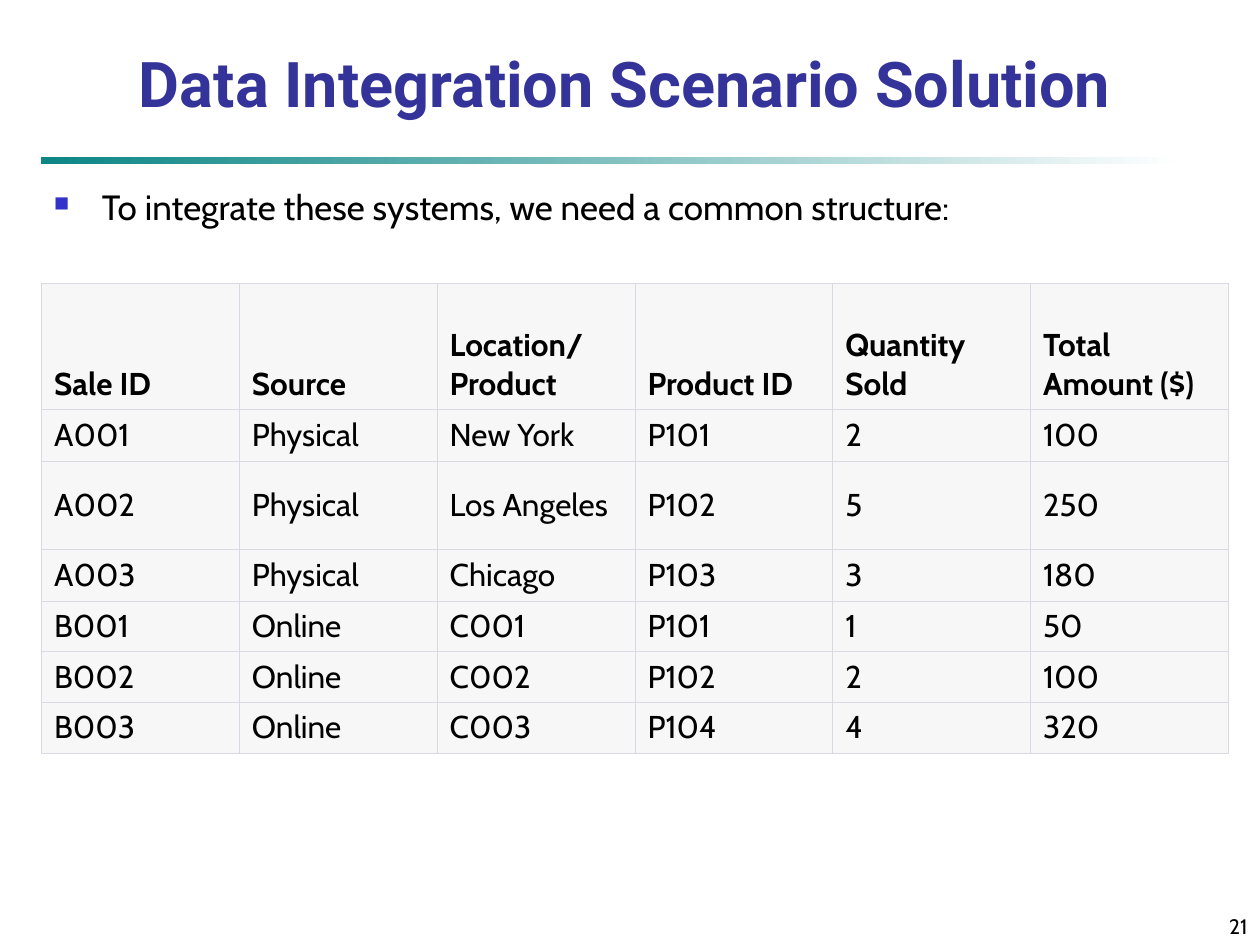
from lxml.etree import SubElement
from pptx import Presentation
from pptx.dml.color import RGBColor
from pptx.enum.shapes import MSO_SHAPE
from pptx.enum.text import MSO_ANCHOR, PP_ALIGN
from pptx.oxml import parse_xml
from pptx.oxml.ns import nsdecls, qn
from pptx.util import Inches, Pt

HEADINGS = ["Sale ID", "Source", "Location/Product", "Product ID",
            "Quantity Sold", "Total Amount ($)"]
SALES = [
    ["A001", "Physical", "New York", "P101", "2", "100"],
    ["A002", "Physical", "Los Angeles", "P102", "5", "250"],
    ["A003", "Physical", "Chicago", "P103", "3", "180"],
    ["B001", "Online", "C001", "P101", "1", "50"],
    ["B002", "Online", "C002", "P102", "2", "100"],
    ["B003", "Online", "C003", "P104", "4", "320"],
]
ROW_HEIGHTS = [1, 0.41, 0.7, 0.41, 0.4, 0.4, 0.41]


def color(hex_value):
    return RGBColor.from_string(hex_value)


class SlideBuilder:
    title_font, body_font = "Roboto", "Cabin"
    title_color, text_color, bullet_color = "333399", "000000", "3333CC"
    cell_color, border_color = "F7F7F8", "D9D9E3"
    rule_start, rule_end = "008080", "FFFFFF"

    def __init__(self, slide):
        self.slide = slide

    def fill_text(self, frame, text, size, anchor, align=PP_ALIGN.LEFT,
                  font=body_font, hue=text_color, bold=False):
        frame.word_wrap = True
        frame.vertical_anchor = anchor
        paragraph = frame.paragraphs[0]
        paragraph.text = text
        paragraph.alignment = align
        paragraph.font.name = font
        paragraph.font.size = Pt(size)
        paragraph.font.bold = bold
        paragraph.font.color.rgb = color(hue)
        return paragraph

    def title(self, text, left, top, width, height):
        heading = self.slide.shapes.title
        heading.left, heading.top = Inches(left), Inches(top)
        heading.width, heading.height = Inches(width), Inches(height)
        self.fill_text(heading.text_frame, text, 36, MSO_ANCHOR.BOTTOM,
                       PP_ALIGN.CENTER, self.title_font, self.title_color, True)

    def rule(self, left, top, width, height):
        rule = self.slide.shapes.add_shape(
            MSO_SHAPE.RECTANGLE, Inches(left), Inches(top), Inches(width), Inches(height))
        rule.shadow.inherit = False
        rule.line.fill.background()
        rule.fill.gradient()
        rule.fill.gradient_angle = 0
        start, end = rule.fill.gradient_stops
        start.color.rgb, end.color.rgb = color(self.rule_start), color(self.rule_end)
        start_color = next(rule._element.spPr.iter(qn("a:srgbClr")))
        SubElement(start_color, qn("a:alpha"), val="95000")

    def text(self, text, left, top, width, height, size, anchor, align=PP_ALIGN.LEFT):
        box = self.slide.shapes.add_textbox(
            Inches(left), Inches(top), Inches(width), Inches(height))
        return self.fill_text(box.text_frame, text, size, anchor, align)

    def bullet(self, text, left, top, width, height):
        paragraph = self.text(text, left, top, width, height, 20, MSO_ANCHOR.TOP)
        paragraph.space_before = Pt(5)
        properties = paragraph._p.get_or_add_pPr()
        properties.set("marL", str(Inches(0.38)))
        properties.set("indent", str(-Inches(0.38)))
        bullet_color = parse_xml(
            f'<a:buClr {nsdecls("a")}><a:srgbClr val="{self.bullet_color}"/></a:buClr>')
        properties.find(qn("a:spcBef")).addnext(bullet_color)
        bullet_size = parse_xml(f'<a:buSzPct {nsdecls("a")} val="60000"/>')
        bullet_color.addnext(bullet_size)
        bullet_size.addnext(parse_xml(f'<a:buChar {nsdecls("a")} char="■"/>'))

    def borders(self, cell, top, bottom):
        properties = cell._tc.get_or_add_tcPr()
        widths = {"lnL": 0.34, "lnR": 0.34, "lnT": top, "lnB": bottom}
        for position, (side, width) in enumerate(widths.items()):
            properties.insert(position, parse_xml(
                f'<a:{side} {nsdecls("a")} w="{Pt(width)}"><a:solidFill>'
                f'<a:srgbClr val="{self.border_color}"/></a:solidFill></a:{side}>'))

    def table(self, rows, row_heights, left, top, width):
        grid = self.slide.shapes.add_table(
            len(rows), len(rows[0]), Inches(left), Inches(top),
            Inches(width), Inches(sum(row_heights))).table
        grid.horz_banding = False
        last = len(rows) - 1
        for index, (values, height) in enumerate(zip(rows, row_heights)):
            grid.rows[index].height = Inches(height)
            header = index == 0
            anchor = MSO_ANCHOR.BOTTOM if header else MSO_ANCHOR.MIDDLE
            for cell, value in zip(grid.rows[index].cells, values):
                self.fill_text(cell.text_frame, value, 18, anchor, bold=header)
                cell.vertical_anchor = anchor
                cell.fill.solid()
                cell.fill.fore_color.rgb = color(self.cell_color)
                self.borders(cell, 0.34 if header else 0.45,
                             0.34 if index == last else 0.45)


def main():
    presentation = Presentation()
    presentation.slide_width, presentation.slide_height = Inches(10), Inches(7.5)
    title_only = presentation.slide_layouts[5]
    builder = SlideBuilder(presentation.slides.add_slide(title_only))
    builder.rule(0.33, 1.25, 9, 0.05)
    builder.title("Data Integration Scenario Solution", 0.17, 0.33, 9.58, 0.67)
    builder.bullet("To integrate these systems, we need a common structure:",
                   0.33, 1.42, 9.17, 5.67)
    builder.text("21", 7.92, 7.08, 2.08, 0.42, 12, MSO_ANCHOR.BOTTOM, PP_ALIGN.RIGHT)
    builder.table([HEADINGS, *SALES], ROW_HEIGHTS, 0.33, 2.25, 9.42)
    presentation.save("out.pptx")


if __name__ == "__main__":
    main()
